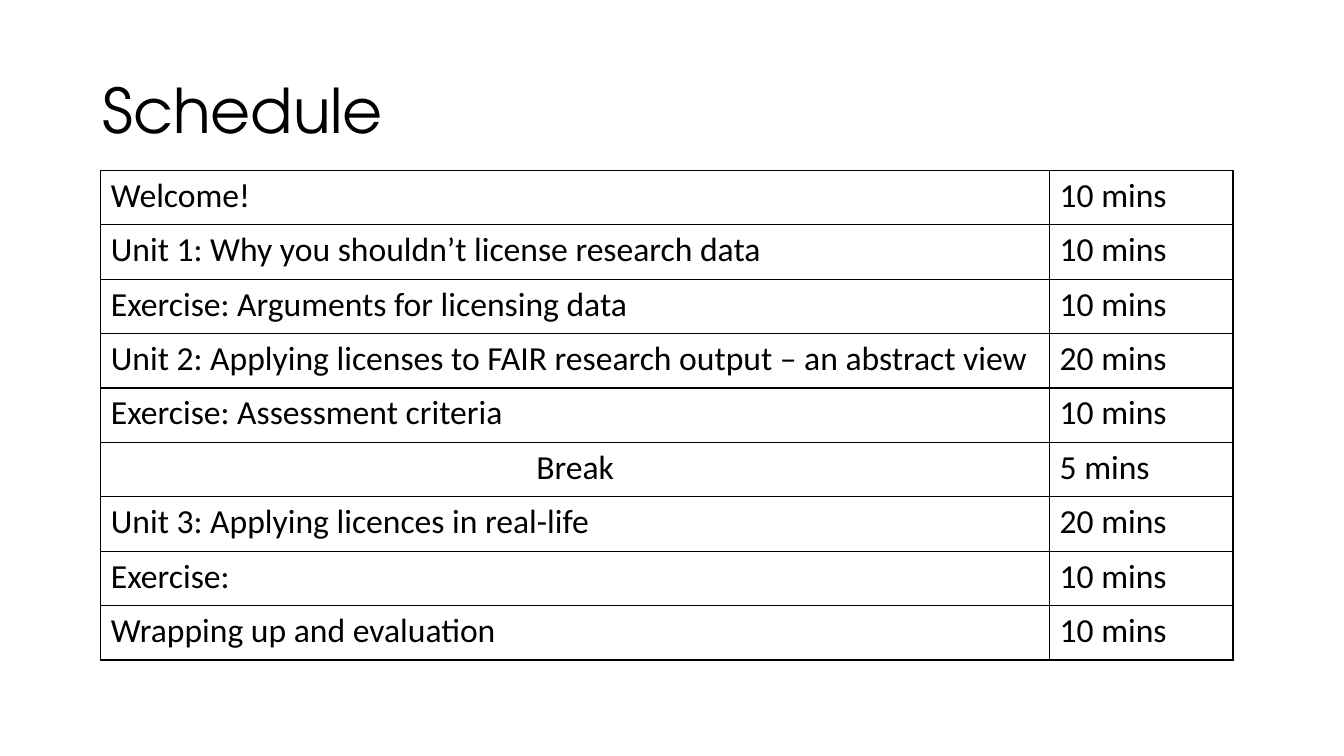
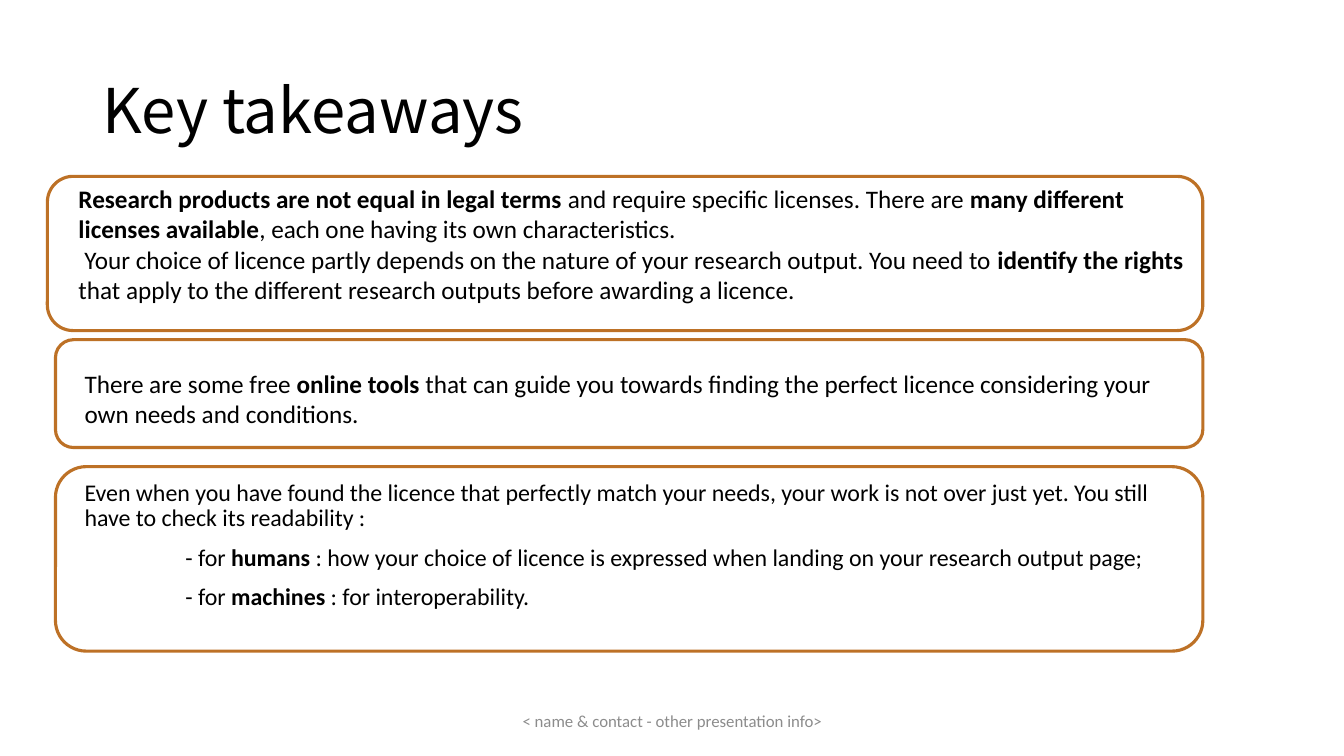
from lxml.etree import SubElement
from pptx import Presentation
from pptx.dml.color import RGBColor
from pptx.enum.shapes import MSO_SHAPE
from pptx.enum.text import MSO_ANCHOR, PP_ALIGN
from pptx.oxml.ns import qn
from pptx.util import Inches, Pt

BLACK = RGBColor(0x00, 0x00, 0x00)
GREY = RGBColor(0x8C, 0x8C, 0x8C)
ORANGE = RGBColor(0xBD, 0x71, 0x26)
BODY_FONT = "Calibri"
TITLE_SIZE = 44

SCHEDULE = [
    ("Welcome!", "10 mins"),
    ("Unit 1: Why you shouldn’t license research data", "10 mins"),
    ("Exercise: Arguments for licensing data", "10 mins"),
    ("Unit 2: Applying licenses to FAIR research output – an abstract view", "20 mins"),
    ("Exercise: Assessment criteria", "10 mins"),
    ("Break", "5 mins"),
    ("Unit 3: Applying licences in real-life", "20 mins"),
    ("Exercise:", "10 mins"),
    ("Wrapping up and evaluation", "10 mins"),
]
LICENCE_CHOICE = [
    "*Research products are not equal in legal terms *and require specific licenses. "
    "There are *many different \vlicenses available*, each one having its own characteristics.",
    "Your choice of licence partly depends on the nature of your research output. "
    "You need to* identify the rights *that apply to the different research outputs "
    "before awarding a licence.",
]
ONLINE_TOOLS = [
    "There are some free *online tools* that can guide you towards finding the perfect "
    "licence considering your own needs and conditions.",
]
READABILITY = [
    "Even when you have found the licence that perfectly match your needs, your work is "
    "not over just yet. You still have to check its readability :",
    "- for *humans *: how your choice of licence is expressed when landing on your "
    "research output page;",
    "- for *machines* : for interoperability.",
]
FRAMES = [(0.47, 1.75, 11.46, 1.53), (0.55, 3.37, 11.38, 1.07), (0.55, 4.63, 11.38, 1.83)]


def style_run(run, size, font=BODY_FONT, color=BLACK, bold=False):
    """Give a run its font, size, colour and weight."""
    run.font.name = font
    run.font.size = Pt(size)
    run.font.color.rgb = color
    run.font.bold = bold


def fill_paragraph(paragraph, text, size, font=BODY_FONT, color=BLACK):
    """Write text in which asterisks switch bold on and off."""
    for part_number, part in enumerate(text.split("*")):
        for line_number, line in enumerate(part.split("\v")):
            if line_number:
                paragraph.add_line_break()
            if line:
                run = paragraph.add_run()
                run.text = line
                style_run(run, size, font, color, part_number % 2 == 1)


def add_text(slide, position, texts, size, font=BODY_FONT, color=BLACK,
             anchor=MSO_ANCHOR.TOP):
    """Add a wrapping text box and return its paragraphs."""
    box = slide.shapes.add_textbox(*map(Inches, position))
    text_frame = box.text_frame
    text_frame.word_wrap = True
    text_frame.vertical_anchor = anchor
    for number, text in enumerate(texts):
        paragraph = text_frame.add_paragraph() if number else text_frame.paragraphs[0]
        fill_paragraph(paragraph, text, size, font, color)
    return text_frame.paragraphs


def add_titled_slide(presentation, title, font):
    """Add a blank slide with its title."""
    slide = presentation.slides.add_slide(presentation.slide_layouts[6])
    paragraphs = add_text(slide, (0.92, 0.4, 11.5, 1.45), [title], TITLE_SIZE, font,
                          anchor=MSO_ANCHOR.MIDDLE)
    paragraphs[0].line_spacing = 0.9
    return slide


def add_footer(slide, text):
    """Add the centred grey footer."""
    paragraphs = add_text(slide, (4.42, 6.95, 4.5, 0.4), [text], 12, color=GREY,
                          anchor=MSO_ANCHOR.MIDDLE)
    paragraphs[0].alignment = PP_ALIGN.CENTER


def add_frame(slide, position):
    """Add an unfilled rounded frame."""
    frame = slide.shapes.add_shape(MSO_SHAPE.FLOWCHART_ALTERNATE_PROCESS,
                                   *map(Inches, position))
    frame.shadow.inherit = False
    frame.fill.background()
    frame.line.color.rgb = ORANGE
    frame.line.width = Pt(2.25)


def add_borders(cell):
    """Draw a thin black line on each side of a cell."""
    properties = cell._tc.get_or_add_tcPr()
    for side in ("a:lnL", "a:lnR", "a:lnT", "a:lnB"):
        line = SubElement(properties, qn(side), w=str(Pt(1)))
        fill = SubElement(line, qn("a:solidFill"))
        SubElement(fill, qn("a:srgbClr"), val=str(BLACK))


def add_schedule(slide, entries):
    """Add the table of sessions and durations."""
    widths = (9.41, 1.82)
    row_height = 0.54
    frame = slide.shapes.add_table(len(entries), len(widths), Inches(1), Inches(1.69),
                                   Inches(sum(widths)), Inches(row_height * len(entries)))
    table = frame.table
    table.first_row = False
    table.horz_banding = False
    for column, width in zip(table.columns, widths):
        column.width = Inches(width)
    for row, entry in zip(table.rows, entries):
        row.height = Inches(row_height)
        for cell, text in zip(row.cells, entry):
            add_borders(cell)
            cell.fill.background()
            paragraph = cell.text_frame.paragraphs[0]
            fill_paragraph(paragraph, text, 24)
            if text == "Break":
                paragraph.alignment = PP_ALIGN.CENTER


def build_schedule(presentation):
    """Build the schedule slide."""
    slide = add_titled_slide(presentation, "Schedule", "TeX Gyre Adventor")
    add_schedule(slide, SCHEDULE)


def build_takeaways(presentation):
    """Build the key takeaways slide."""
    slide = add_titled_slide(presentation, "Key takeaways", "Noto Sans CJK KR")
    for position in FRAMES:
        add_frame(slide, position)
    choice = add_text(slide, (0.68, 1.77, 11.5, 1.3), LICENCE_CHOICE, 18)
    choice[1]._p.get_or_add_pPr().set("indent", str(Inches(0.06)))
    add_text(slide, (0.74, 3.6, 10.98, 0.7), ONLINE_TOOLS, 18)
    readability = add_text(slide, (0.74, 4.72, 11.05, 1.81), READABILITY, 17.1)
    for number, paragraph in enumerate(readability):
        paragraph.line_spacing = 0.89
        if number:
            paragraph.space_before = Pt(10)
            paragraph._p.get_or_add_pPr().set("marL", str(Inches(1)))
    add_footer(slide, "< name & contact - other presentation info>")


def main():
    """Build and save the presentation."""
    presentation = Presentation()
    presentation.slide_width = Inches(13.33)
    presentation.slide_height = Inches(7.5)
    build_schedule(presentation)
    build_takeaways(presentation)
    presentation.save("out.pptx")


if __name__ == "__main__":
    main()
